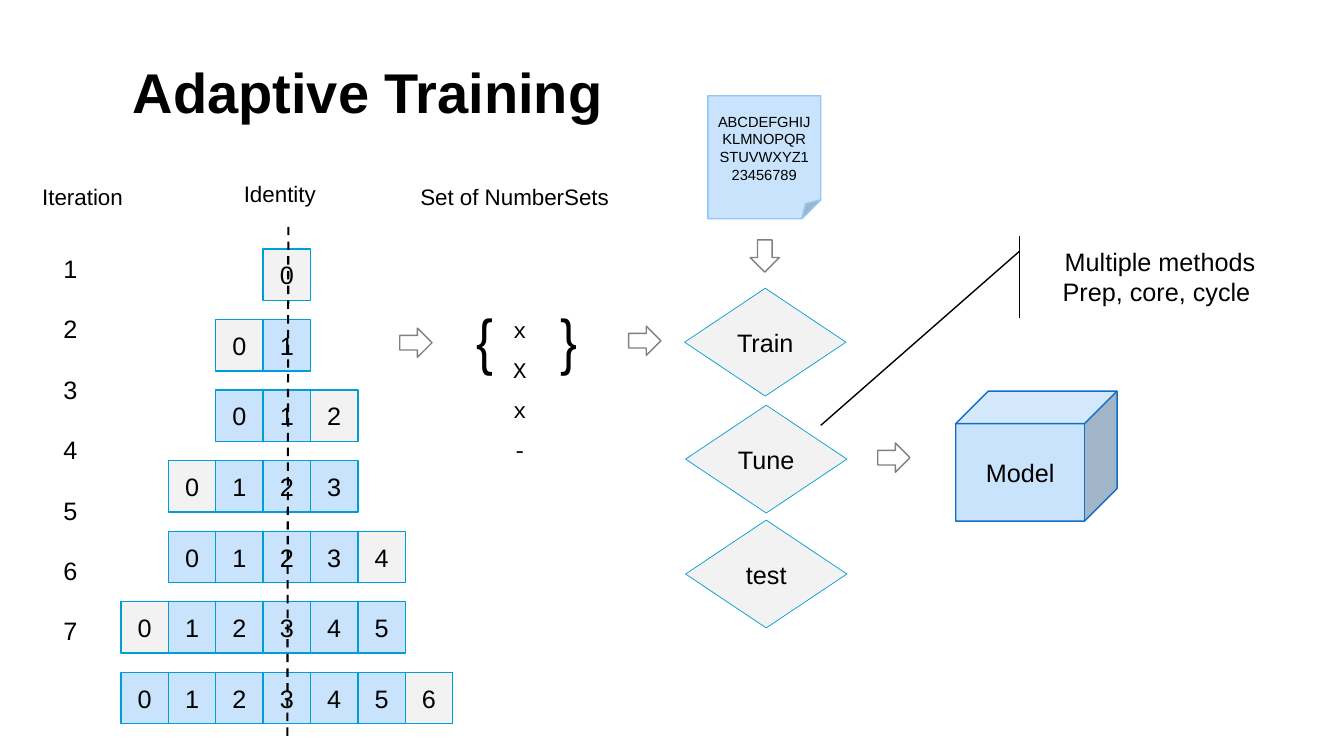
"""Build the Adaptive Training slide."""
from typing import NamedTuple

from lxml.etree import SubElement
from pptx import Presentation
from pptx.dml.color import RGBColor
from pptx.enum.dml import MSO_LINE_DASH_STYLE as Dash
from pptx.enum.shapes import MSO_CONNECTOR, MSO_SHAPE as Preset
from pptx.enum.text import MSO_ANCHOR as Anchor, PP_ALIGN as Align
from pptx.oxml.ns import qn
from pptx.shapes.autoshape import Shape
from pptx.slide import Slide
from pptx.text.text import TextFrame
from pptx.util import Inches, Pt

BLACK = RGBColor(0x00, 0x00, 0x00)
WHITE = RGBColor(0xFF, 0xFF, 0xFF)
PALE_BLUE = RGBColor(0xC8, 0xE3, 0xFB)
NOTE_EDGE = RGBColor(0x91, 0xC6, 0xF7)
CYAN = RGBColor(0x00, 0x9D, 0xD9)
MODEL_EDGE = RGBColor(0x0F, 0x6F, 0xC6)
PALE_GRAY = RGBColor(0xF2, 0xF2, 0xF2)
GRAY = RGBColor(0x80, 0x80, 0x80)

ITERATIONS = 7
CELL_WIDTH, CELL_HEIGHT = 0.47, 0.51
FIRST_CELL_LEFT, FIRST_ROW_TOP, ROW_PITCH = 2.61, 2.47, 0.7


class Box(NamedTuple):
    left: float
    top: float
    width: float
    height: float


class Figure(NamedTuple):
    preset: Preset
    box: Box
    fill: RGBColor
    edge: RGBColor
    text: str = ""
    size: float = 18
    weight: float = 1
    rotation: float = 0


class Label(NamedTuple):
    text: str
    box: Box
    size: float = 16
    font: str = "Arial"
    bold: bool = False
    spacing: float = 1
    wrap: bool = False


def arrow(left: float, top: float, rotation: float = 270) -> Figure:
    """Describe a small outlined arrow."""
    return Figure(Preset.DOWN_ARROW, Box(left, top, 0.29, 0.32), WHITE, GRAY,
                  rotation=rotation)


def stage(name: str, left: float, top: float) -> Figure:
    """Describe one diamond of the training cycle."""
    return Figure(Preset.DIAMOND, Box(left, top, 1.6, 1.07), PALE_GRAY, CYAN, name, weight=0.5)


FIGURES = [
    Figure(Preset.FOLDED_CORNER, Box(7.02, 0.95, 1.12, 1.22), PALE_BLUE, NOTE_EDGE,
           "ABCDEFGHIJKLMNOPQRSTUVWXYZ123456789", size=10.5),
    Figure(Preset.CUBE, Box(9.48, 3.88, 1.6, 1.29), PALE_BLUE, MODEL_EDGE, "Model"),
    arrow(3.98, 3.24),
    arrow(8.72, 4.38),
    arrow(7.44, 2.38, rotation=0),
    arrow(6.25, 3.22),
    stage("Train", 6.79, 2.86),
    stage("Tune", 6.8, 4.02),
    stage("test", 6.8, 5.16),
]
METHODS = Figure(Preset.LINE_CALLOUT_1_ACCENT_BAR, Box(10.31, 2.34, 2.39, 0.81), WHITE, BLACK,
                 "Multiple methods\nPrep, core, cycle ")
METHODS_LEADER = (0.188, -0.083, 2.322, -0.908)

LABELS = [
    Label("Adaptive Training", Box(1.22, 0.6, 11.12, 1.29), 40, bold=True, spacing=0.9, wrap=True),
    Label("Identity", Box(2.32, 1.74, 0.97, 0.37)),
    Label("Iteration", Box(0.32, 1.77, 1.06, 0.37)),
    Label("Set of NumberSets", Box(4.07, 1.77, 2.2, 0.37)),
    Label("x X\nx -", Box(4.99, 2.95, 0.57, 0.87), font="Courier New", spacing=1.5, wrap=True),
]
BRACES = Label("{\t}", Box(4.63, 2.95, 1.27, 0.84), 44, "Arial Narrow", wrap=True)
BRACE_GAP = 0.83
ITERATION_NUMBERS = Label(" ".join(str(n + 1) for n in range(ITERATIONS)),
                          Box(0.53, 2.46, 0.56, 4.78), 18)


def write(frame: TextFrame, text: str, *, size: float, font: str = "Arial", bold: bool = False,
          align: Align = Align.LEFT, spacing: float = 1, tab: float = 0) -> None:
    """Fill a text frame with formatted paragraphs, one per line."""
    for index, line in enumerate(text.split("\n")):
        paragraph = frame.add_paragraph() if index else frame.paragraphs[0]
        paragraph.alignment = align
        paragraph.line_spacing = spacing
        run = paragraph.add_run()
        run.text = line
        if tab:
            stops = SubElement(run._r.getparent().get_or_add_pPr(), qn("a:tabLst"))
            SubElement(stops, qn("a:tab"), pos=str(Inches(tab)), algn="l")
        run.font.name = font
        run.font.size = Pt(size)
        run.font.bold = bold
        run.font.color.rgb = BLACK


def place(box: Box) -> list[int]:
    """Convert a box in inches to slide lengths."""
    return [Inches(length) for length in box]


def draw_figure(slide: Slide, figure: Figure) -> Shape:
    """Draw a preset shape with centred text."""
    shape = slide.shapes.add_shape(figure.preset, *place(figure.box))
    shape.shadow.inherit = False
    shape.rotation = figure.rotation
    shape.fill.solid()
    shape.fill.fore_color.rgb = figure.fill
    shape.line.color.rgb = figure.edge
    shape.line.width = Pt(figure.weight)
    if figure.text:
        shape.text_frame.word_wrap = True
        shape.text_frame.vertical_anchor = Anchor.MIDDLE
        write(shape.text_frame, figure.text, size=figure.size, align=Align.CENTER)
    return shape


def draw_label(slide: Slide, label: Label, tab: float = 0) -> Shape:
    """Draw a free-standing text box."""
    caption = slide.shapes.add_textbox(*place(label.box))
    caption.text_frame.word_wrap = label.wrap
    write(caption.text_frame, label.text, size=label.size, font=label.font, bold=label.bold,
          spacing=label.spacing, tab=tab)
    return caption


def draw_number_sets(slide: Slide) -> None:
    """Draw rows that grow alternately left and right, the new cell in gray."""
    for row in range(ITERATIONS):
        left = FIRST_CELL_LEFT - (row + 1) // 2 * CELL_WIDTH
        newest = 0 if row % 2 else row
        for number in range(row + 1):
            box = Box(left + number * CELL_WIDTH, FIRST_ROW_TOP + row * ROW_PITCH,
                      CELL_WIDTH, CELL_HEIGHT)
            fill = PALE_GRAY if number == newest else PALE_BLUE
            draw_figure(slide, Figure(Preset.RECTANGLE, box, fill, CYAN, str(number)))


def draw_identity_axis(slide: Slide) -> None:
    """Draw the dashed line through the number sets."""
    axis = slide.shapes.add_connector(MSO_CONNECTOR.STRAIGHT, Inches(2.86), Inches(2.25),
                                      Inches(2.85), Inches(7.36))
    axis.line.color.rgb = BLACK
    axis.line.width = Pt(1.5)
    axis.line.dash_style = Dash.DASH
    SubElement(axis._element.spPr, qn("a:effectLst"))


def main() -> None:
    """Compose and save the slide."""
    deck = Presentation()
    deck.slide_width, deck.slide_height = Inches(13.33), Inches(7.5)
    slide = deck.slides.add_slide(deck.slide_layouts[6])
    draw_number_sets(slide)
    draw_identity_axis(slide)
    for figure in FIGURES:
        draw_figure(slide, figure)
    methods = draw_figure(slide, METHODS)
    for index, value in enumerate(METHODS_LEADER):
        methods.adjustments[index] = value
    for label in LABELS:
        draw_label(slide, label)
    draw_label(slide, BRACES, tab=BRACE_GAP)
    numbers = draw_label(slide, ITERATION_NUMBERS)
    numbers._element.txBody.bodyPr.set("vert", "wordArtVert")
    deck.save("out.pptx")


if __name__ == "__main__":
    main()
